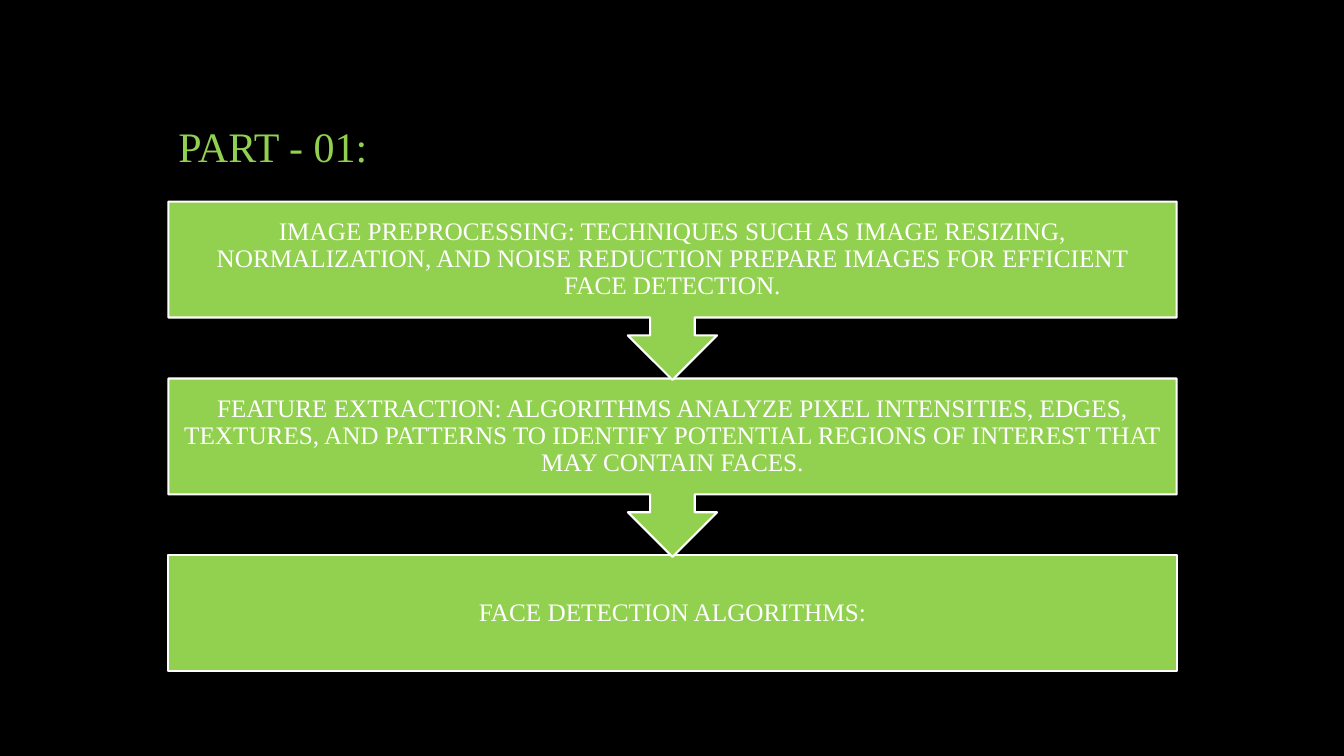
from dataclasses import dataclass

from pptx import Presentation
from pptx.dml.color import RGBColor
from pptx.enum.shapes import MSO_SHAPE
from pptx.enum.text import MSO_ANCHOR, MSO_AUTO_SIZE, PP_ALIGN
from pptx.util import Inches, Pt


@dataclass(frozen=True)
class Theme:
    background: RGBColor = RGBColor(0x00, 0x00, 0x00)
    accent: RGBColor = RGBColor(0x92, 0xD0, 0x50)
    light: RGBColor = RGBColor(0xFF, 0xFF, 0xFF)
    font: str = "Times New Roman"
    title_size: Pt = Pt(30)
    step_size: Pt = Pt(18)
    outline: Pt = Pt(1.5)


THEME = Theme()
STEPS = [
    "IMAGE PREPROCESSING: TECHNIQUES SUCH AS IMAGE RESIZING, NORMALIZATION, "
    "AND NOISE REDUCTION PREPARE IMAGES FOR EFFICIENT FACE DETECTION.",
    "FEATURE EXTRACTION: ALGORITHMS ANALYZE PIXEL INTENSITIES, EDGES, TEXTURES, "
    "AND PATTERNS TO IDENTIFY POTENTIAL REGIONS OF INTEREST THAT MAY CONTAIN FACES.",
    "FACE DETECTION ALGORITHMS:",
]


def apply_format(target, values):
    for name, value in values.items():
        setattr(target, name, value)


def write_text(shape, text, frame_format, alignment, size, color):
    frame = shape.text_frame
    frame.text = text
    apply_format(frame, {"word_wrap": True, "auto_size": MSO_AUTO_SIZE.NONE, **frame_format})
    paragraph = frame.paragraphs[0]
    apply_format(paragraph, {"alignment": alignment, "line_spacing": 0.9, "space_before": Pt(0)})
    font = paragraph.runs[0].font
    apply_format(font, {"name": THEME.font, "size": size, "bold": False})
    font.color.rgb = color


def add_title(slide, left, top, width, height):
    title = slide.shapes.title
    apply_format(title, {"left": Inches(left), "top": Inches(top),
                         "width": Inches(width), "height": Inches(height)})
    write_text(title, "PART - 01:", {"vertical_anchor": MSO_ANCHOR.BOTTOM},
               PP_ALIGN.LEFT, THEME.title_size, THEME.accent)


def add_process(slide, steps, left, top, width, height):
    box_height = 1.15
    callout_height = 1.77
    pitch = (height - box_height) / (len(steps) - 1)
    inset = Inches(0.14)
    frame_format = {"vertical_anchor": MSO_ANCHOR.MIDDLE,
                    "margin_left": inset, "margin_right": inset,
                    "margin_top": inset, "margin_bottom": inset}
    last = len(steps) - 1
    for index in range(last, -1, -1):
        is_last = index == last
        kind = MSO_SHAPE.RECTANGLE if is_last else MSO_SHAPE.DOWN_ARROW_CALLOUT
        step_height = box_height if is_last else callout_height
        shape = slide.shapes.add_shape(kind, Inches(left), Inches(top + index * pitch),
                                       Inches(width), Inches(step_height))
        shape.shadow.inherit = False
        shape.fill.solid()
        shape.fill.fore_color.rgb = THEME.accent
        shape.line.color.rgb = THEME.light
        shape.line.width = THEME.outline
        write_text(shape, steps[index], frame_format,
                   PP_ALIGN.CENTER, THEME.step_size, THEME.light)


def build_process_slide(presentation):
    slide = presentation.slides.add_slide(presentation.slide_layouts[5])
    slide.background.fill.solid()
    slide.background.fill.fore_color.rgb = THEME.background
    add_title(slide, 1.67, 0.5, 10, 1.25)
    add_process(slide, STEPS, 1.67, 2, 10, 4.66)


def main():
    presentation = Presentation()
    apply_format(presentation, {"slide_width": Inches(13.33), "slide_height": Inches(7.5)})
    build_process_slide(presentation)
    presentation.save("out.pptx")


if __name__ == "__main__":
    main()
